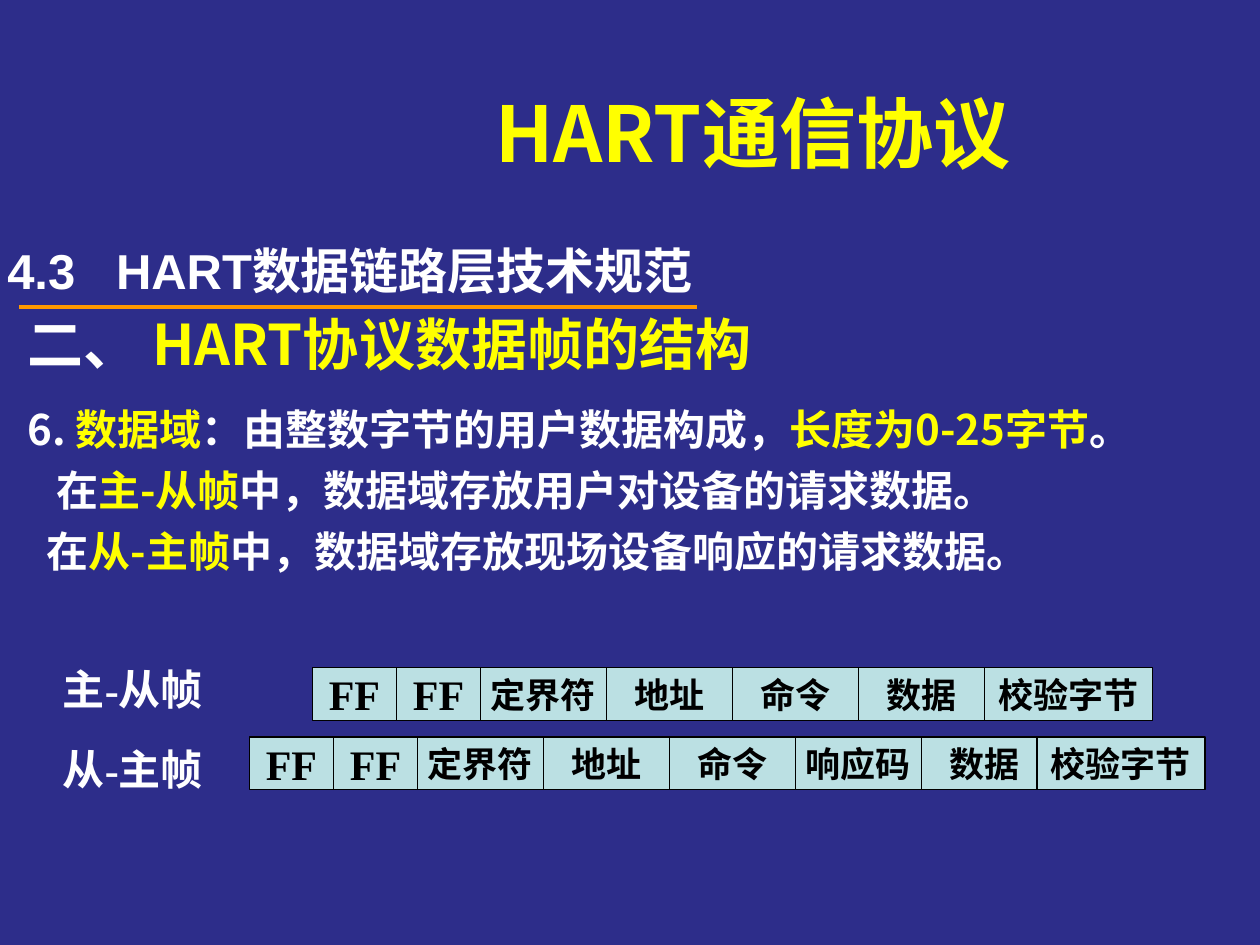
from dataclasses import dataclass
from lxml.etree import SubElement
from pptx import Presentation
from pptx.dml.color import RGBColor
from pptx.enum.lang import MSO_LANGUAGE_ID
from pptx.enum.shapes import MSO_CONNECTOR, MSO_SHAPE
from pptx.enum.text import MSO_ANCHOR, MSO_AUTO_SIZE, PP_ALIGN
from pptx.oxml.ns import qn
from pptx.slide import Slide
from pptx.util import Inches, Pt

NAVY = RGBColor(0x2D, 0x2D, 0x8A)
WHITE = RGBColor(0xFF, 0xFF, 0xFF)
YELLOW = RGBColor(0xFF, 0xFF, 0x00)
ORANGE = RGBColor(0xFF, 0x99, 0x00)
ICE = RGBColor(0xBB, 0xE0, 0xE3)
BLACK = RGBColor(0x00, 0x00, 0x00)
HAN = "Noto Sans CJK JP"
SERIF = "Times New Roman"


@dataclass
class LectureSlide:
    """Draws styled elements on a grid of 60 columns by 45 rows."""

    slide: Slide
    cell: int = Inches(1 / 6)

    def place(self, *lengths):
        return [round(length * self.cell) for length in lengths]

    def add_wording(self, paragraph, parts, font, size):
        for wording, color in parts:
            run = paragraph.add_run()
            run.text = wording
            run.font.name = font
            run.font.size = Pt(size)
            run.font.bold = True
            run.font.color.rgb = color
            run.font.language_id = MSO_LANGUAGE_ID.SIMPLIFIED_CHINESE
            properties = run._r.get_or_add_rPr()
            east_asian = SubElement(properties, qn("a:ea"), typeface=HAN)
            properties.find(qn("a:latin")).addnext(east_asian)

    def text(self, area, lines, font, align=PP_ALIGN.LEFT):
        box = self.slide.shapes.add_textbox(*self.place(*area))
        frame = box.text_frame
        frame.word_wrap = True
        frame.auto_size = MSO_AUTO_SIZE.SHAPE_TO_FIT_TEXT
        for index, (size, space_before, parts) in enumerate(lines):
            paragraph = frame.add_paragraph() if index else frame.paragraphs[0]
            paragraph.alignment = align
            paragraph.space_before = Pt(space_before)
            self.add_wording(paragraph, parts, font, size)
        return box

    def rule(self, left, right, row):
        line = self.slide.shapes.add_connector(
            MSO_CONNECTOR.STRAIGHT, *self.place(left, row, right, row))
        line.line.color.rgb = ORANGE
        line.line.width = Pt(2.25)
        SubElement(line._element.spPr, qn("a:effectLst"))
        return line

    def field(self, area, label):
        box = self.slide.shapes.add_shape(MSO_SHAPE.RECTANGLE, *self.place(*area))
        box.shadow.inherit = False
        box.fill.solid()
        box.fill.fore_color.rgb = ICE
        box.line.color.rgb = BLACK
        box.line.width = Pt(0.75)
        frame = box.text_frame
        frame.word_wrap = False
        frame.vertical_anchor = MSO_ANCHOR.MIDDLE
        frame.paragraphs[0].alignment = PP_ALIGN.CENTER
        size = 24 if label == "FF" else 20
        self.add_wording(frame.paragraphs[0], [(label, BLACK)], SERIF, size)
        return box

    def data_frame(self, left, top, labels, checksum_overlap=0):
        fields = []
        for label in labels:
            width = {"FF": 4, "校验字节": 8}.get(label, 6)
            if label == "校验字节":
                left -= checksum_overlap
            fields.append(self.field((left, top, width, 2.5), label))
            left += width
        self.group(*fields)

    def group(self, *members):
        self.slide.shapes.add_group_shape(members)


def main():
    deck = Presentation()
    deck.slide_width, deck.slide_height = Inches(10), Inches(7.5)
    page = LectureSlide(deck.slides.add_slide(deck.slide_layouts[6]))
    background = page.slide.background.fill
    background.solid()
    background.fore_color.rgb = NAVY

    underline = page.rule(0.9, 33.18, 14.64)
    section = page.text((-0.24, 11.16, 36.84, 3.42), [
        (28, 17.5, [("4.3   HART数据链路层技术规范", WHITE)])], "Arial")
    page.group(underline, section)
    page.text((18.54, 3.78, 34.62, 5.04),
              [(44, 0, [("HART通信协议", YELLOW)])], HAN, PP_ALIGN.CENTER)
    page.text((0.72, 14.46, 56.46, 13.26), [
        (32, 0, [("二、 ", WHITE), ("HART协议数据帧的结构", YELLOW)]),
        (24, 15, [("6. ", WHITE), ("数据域", YELLOW),
                  ("：由整数字节的用户数据构成，", WHITE),
                  ("长度为0-25字节", YELLOW), ("。", WHITE)]),
        (24, 6, [("   在", WHITE), ("主-从帧", YELLOW),
                 ("中，数据域存放用户对设备的请求数据。", WHITE)]),
        (24, 6, [("  在", WHITE), ("从-主帧", YELLOW),
                 ("中，数据域存放现场设备响应的请求数据。", WHITE)]),
    ], HAN)

    header = ["FF", "FF", "定界符", "地址", "命令"]
    payload = ["数据", "校验字节"]
    page.data_frame(14.88, 31.8, header + payload)
    page.data_frame(11.88, 35.1, header + ["响应码"] + payload, checksum_overlap=0.5)
    for top, direction in ((31.32, "主-从帧"), (35.1, "从-主帧")):
        page.text((2.4, top, 10.98, 3), [(24, 15, [(direction, WHITE)])], SERIF)

    deck.save("out.pptx")


if __name__ == "__main__":
    main()
